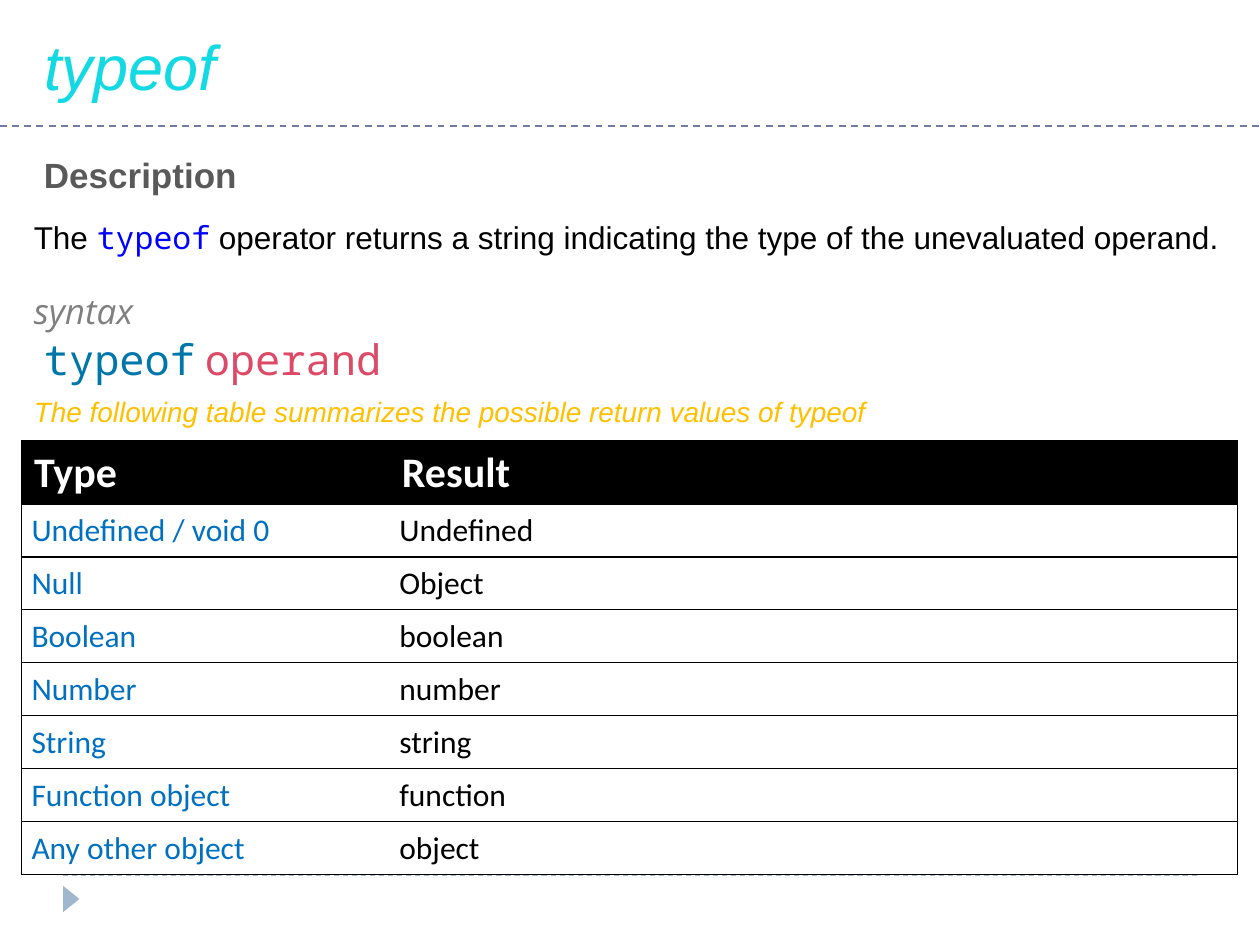
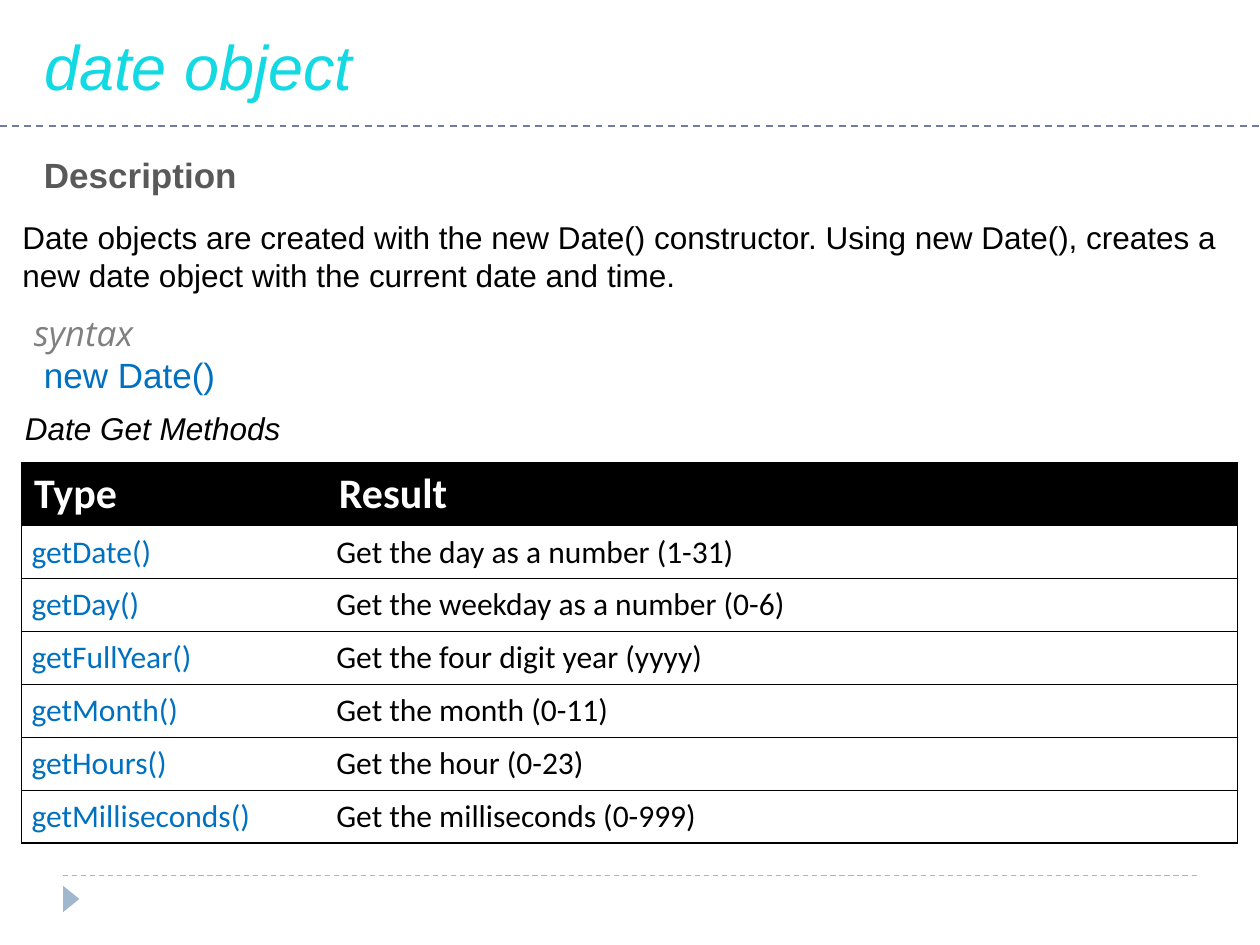
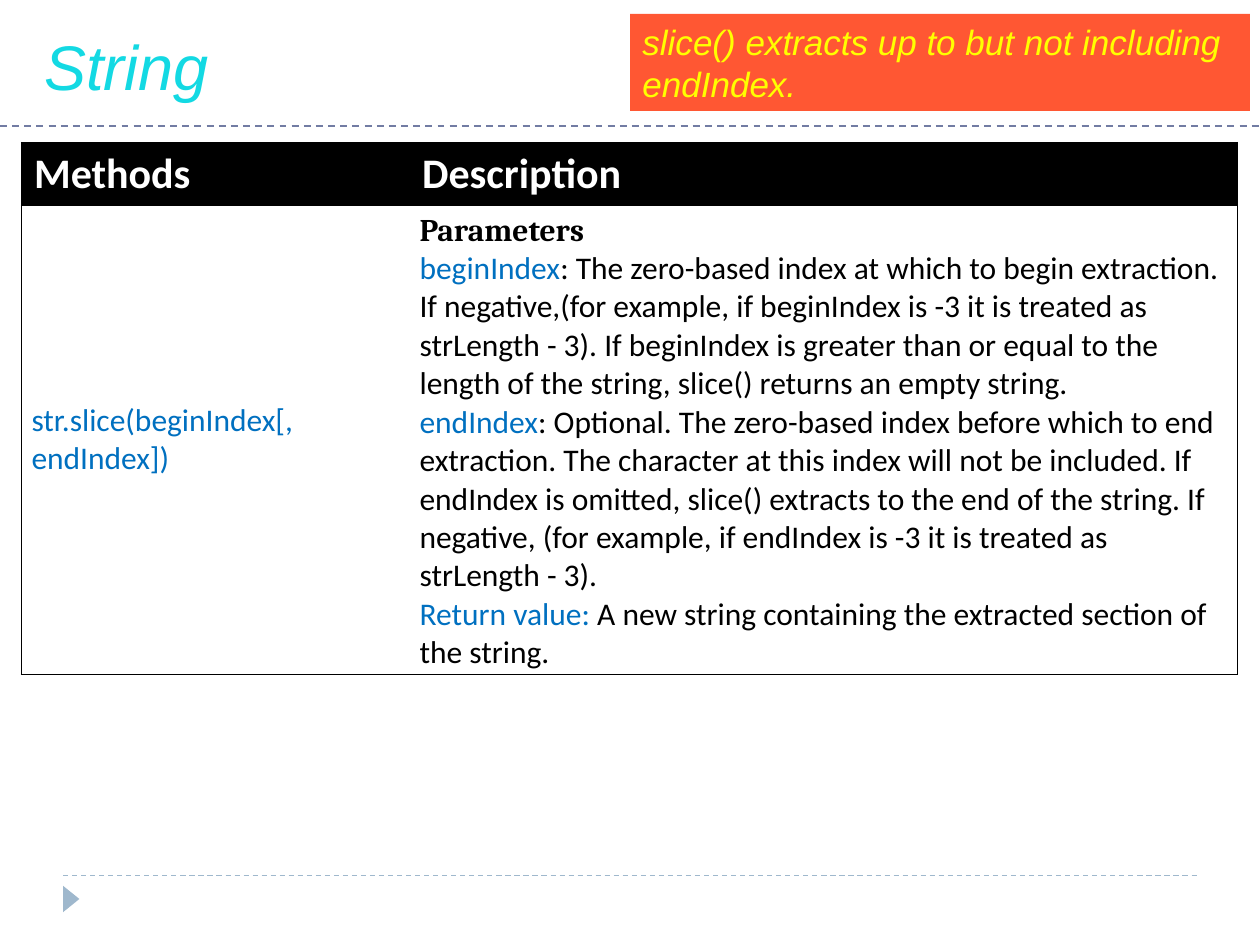
from dataclasses import dataclass

from lxml import etree
from pptx import Presentation
from pptx.dml.color import RGBColor
from pptx.enum.dml import MSO_LINE
from pptx.enum.shapes import MSO_CONNECTOR, MSO_SHAPE
from pptx.enum.text import MSO_ANCHOR, MSO_AUTO_SIZE, PP_ALIGN
from pptx.oxml.ns import qn
from pptx.util import Inches, Pt

STRAIGHT, TRIANGLE, RECTANGLE = MSO_CONNECTOR.STRAIGHT, MSO_SHAPE.ISOSCELES_TRIANGLE, MSO_SHAPE.RECTANGLE
DASH, LEFT = MSO_LINE.DASH, PP_ALIGN.LEFT
TOP, MIDDLE = MSO_ANCHOR.TOP, MSO_ANCHOR.MIDDLE
GROW = MSO_AUTO_SIZE.SHAPE_TO_FIT_TEXT
TITLE_ONLY = 5

COLORS = {
    "title": "13D9E3", "rule": "727CA3", "footer": "9FB8CD", "heading": "595959",
    "black": "000000", "white": "FFFFFF", "blue": "0070C0", "code": "0000FF",
    "keyword": "0077AA", "operand": "DD4A68", "syntax": "808080", "gold": "FFC000",
    "callout": "FF5733", "yellow": "FFFF00",
}

# Character formats: color key and font attributes
FORMATS = {
    "title": ("title", dict(name="Arial", size=Pt(36), bold=False, italic=True)),
    "heading": ("heading", dict(name="Arial", size=Pt(20), bold=True)),
    "body": ("black", dict(name="Arial", size=Pt(18))),
    "body italic": ("black", dict(name="Arial", size=Pt(18), italic=True)),
    "inline code": ("code", dict(name="Noto Sans Mono", size=Pt(18))),
    "syntax": ("syntax", dict(name="Open Sans", size=Pt(20), italic=True)),
    "keyword": ("keyword", dict(name="Noto Sans Mono", size=Pt(24))),
    "operand": ("operand", dict(name="Noto Sans Mono", size=Pt(24))),
    "constructor": ("blue", dict(name="Arial", size=Pt(20))),
    "summary": ("gold", dict(name="Arial", size=Pt(16), italic=True)),
    "callout": ("yellow", dict(name="Arial", size=Pt(20), italic=True)),
    "column head": ("white", dict(name="Calibri", size=Pt(24), bold=True)),
    "term": ("blue", dict(name="Calibri", size=Pt(18), bold=False)),
    "cell": ("black", dict(name="Calibri", size=Pt(18), bold=False)),
    "parameters": ("black", dict(name="Cambria", size=Pt(18), bold=True)),
}


@dataclass(frozen=True)
class Run:
    text: str
    style: str


@dataclass(frozen=True)
class Passage:
    left: float
    top: float
    width: float
    height: float
    runs: tuple[Run, ...]


@dataclass(frozen=True)
class Grid:
    top: float
    first_column: float
    heads: tuple[str, str]
    rows: list[tuple[str, list[list[Run]]]]
    row_height: float = 0.42


@dataclass(frozen=True)
class Topic:
    title: str
    passages: list[Passage]
    grid: Grid


GRID_LEFT, GRID_WIDTH, HEAD_HEIGHT = 0.17, 9.65, 0.5


def rgb(key: str) -> RGBColor:
    return RGBColor.from_string(COLORS[key])


def write_runs(paragraph, runs) -> None:
    paragraph.alignment = LEFT
    for part in runs:
        run = paragraph.add_run()
        run.text = part.text
        color, values = FORMATS[part.style]
        for attribute, value in values.items():
            setattr(run.font, attribute, value)
        run.font.color.rgb = rgb(color)


def fill_frame(frame, runs) -> None:
    for attribute, value in dict(word_wrap=True, auto_size=GROW, vertical_anchor=TOP).items():
        setattr(frame, attribute, value)
    write_runs(frame.paragraphs[0], runs)


def add_rule(slide, left: float, right: float, y: float, color: str, weight: float) -> None:
    rule = slide.shapes.add_connector(STRAIGHT, Inches(left), Inches(y), Inches(right), Inches(y))
    rule.line.color.rgb = rgb(color)
    rule.line.width = Pt(weight)
    rule.line.dash_style = DASH
    etree.SubElement(rule._element.spPr, qn("a:effectLst"))


def add_block(slide, kind, left: float, top: float, width: float, height: float, color: str):
    block = slide.shapes.add_shape(kind, Inches(left), Inches(top), Inches(width), Inches(height))
    block.shadow.inherit = False
    block.fill.solid()
    block.fill.fore_color.rgb = rgb(color)
    block.line.fill.background()
    return block


def add_passage(slide, passage: Passage) -> None:
    box = slide.shapes.add_textbox(Inches(passage.left), Inches(passage.top),
                                   Inches(passage.width), Inches(passage.height))
    fill_frame(box.text_frame, passage.runs)


def set_borders(cell, outer_side: str) -> None:
    """Rule the cell above, below and on its outer side only."""
    properties = cell._tc.get_or_add_tcPr()
    for side in ("lnL", "lnR", "lnT", "lnB"):
        border = etree.SubElement(properties, qn(f"a:{side}"), w=str(Pt(0.75)))
        if side in ("lnT", "lnB", outer_side):
            solid = etree.SubElement(border, qn("a:solidFill"))
            etree.SubElement(solid, qn("a:srgbClr"), val=COLORS["black"])
        else:
            etree.SubElement(border, qn("a:noFill"))


def fill_cell(cell, paragraphs, column: int, is_head: bool) -> None:
    set_borders(cell, ("lnL", "lnR")[column])
    if is_head:
        cell.fill.solid()
        cell.fill.fore_color.rgb = rgb("black")
    else:
        cell.fill.background()
        cell.vertical_anchor = MIDDLE
        for side, inset in dict(left=0.08, right=0.08, top=0.06, bottom=0.06).items():
            setattr(cell, f"margin_{side}", Inches(inset))
    for index, runs in enumerate(paragraphs):
        frame = cell.text_frame
        write_runs(frame.add_paragraph() if index else frame.paragraphs[0], runs)


def add_grid(slide, grid: Grid) -> None:
    height = HEAD_HEIGHT + grid.row_height * len(grid.rows)
    table = slide.shapes.add_table(len(grid.rows) + 1, 2, Inches(GRID_LEFT), Inches(grid.top),
                                   Inches(GRID_WIDTH), Inches(height)).table
    table.horz_banding = False
    table.columns[0].width = Inches(grid.first_column)
    table.columns[1].width = Inches(GRID_WIDTH - grid.first_column)
    contents = [[[[Run(head, "column head")]] for head in grid.heads]]
    contents += [[[[Run(term, "term")]], meaning] for term, meaning in grid.rows]
    for row, cells in enumerate(contents):
        table.rows[row].height = Inches(grid.row_height if row else HEAD_HEIGHT)
        for column, paragraphs in enumerate(cells):
            fill_cell(table.cell(row, column), paragraphs, column, row == 0)


def add_topic(deck, topic: Topic):
    slide = deck.slides.add_slide(deck.slide_layouts[TITLE_ONLY])
    # Footer rule and marker
    add_rule(slide, 0.5, 9.5, 6.95, "footer", 0.75)
    add_block(slide, TRIANGLE, 0.46, 7.07, 0.21, 0.13, "footer").rotation = 90
    # Title and the rule below it
    title = slide.shapes.title
    for attribute, value in dict(left=0.25, top=0.17, width=9.42, height=0.71).items():
        setattr(title, attribute, Inches(value))
    fill_frame(title.text_frame, [Run(topic.title, "title")])
    add_rule(slide, 0, 10, 1, "rule", 1)
    # Content
    for passage in topic.passages:
        add_passage(slide, passage)
    add_grid(slide, topic.grid)
    return slide


def syntax_label(top: float) -> Passage:
    return Passage(0.17, top, 9.67, 0.44, (Run("syntax", "syntax"),))


def plain_rows(pairs: dict[str, str]) -> list[tuple[str, list[list[Run]]]]:
    return [(term, [[Run(meaning, "cell")]]) for term, meaning in pairs.items()]


DESCRIPTION = Passage(0.25, 1.17, 9.42, 0.44, (Run("Description", "heading"),))

TYPEOF = Topic("typeof", [
    DESCRIPTION,
    Passage(0.17, 1.68, 9.67, 0.4, (
        Run("The ", "body"), Run("typeof", "inline code"),
        Run(" operator returns a string indicating the type of the unevaluated operand.", "body"))),
    Passage(0.25, 2.6, 9.5, 0.5, (
        Run("typeof", "keyword"), Run(" ", "constructor"), Run("operand", "operand"))),
    Passage(0.17, 3.08, 9.58, 0.37, (
        Run("The following table summarizes the possible return values of typeof", "summary"),)),
    syntax_label(2.25),
], Grid(3.5, 2.92, ("Type", "Result"), plain_rows({
    "Undefined / void 0": "Undefined",
    "Null": "Object",
    "Boolean": "boolean",
    "Number": "number",
    "String": "string",
    "Function object": "function",
    "Any other object": "object",
})))

DATE = Topic("date object", [
    DESCRIPTION,
    Passage(0.08, 1.68, 9.92, 0.71, (
        Run("Date objects are created with the new Date() constructor. Using new Date(), "
            "creates a new date object with the current date and time.", "body"),)),
    Passage(0.25, 2.76, 9.5, 0.44, (Run("new Date()", "constructor"),)),
    syntax_label(2.42),
    Passage(0.1, 3.2, 9.73, 0.4, (Run("Date Get Methods", "body italic"),)),
], Grid(3.67, 2.42, ("Type", "Result"), plain_rows({
    "getDate()": "Get the day as a number (1-31)",
    "getDay()": "Get the weekday as a number (0-6)",
    "getFullYear()": "Get the four digit year (yyyy)",
    "getMonth()": "Get the month (0-11)",
    "getHours()": "Get the hour (0-23)",
    "getMilliseconds()": "Get the milliseconds (0-999)",
})))

SLICE_DETAILS = [
    [Run("Parameters", "parameters")],
    [Run("beginIndex", "term"),
     Run(": The zero-based index at which to begin extraction. If negative,(for example, "
         "if beginIndex is -3 it is treated as strLength - 3). If beginIndex is greater than "
         "or equal to the length of the string, slice() returns an empty string.", "cell")],
    [Run("endIndex", "term"),
     Run(": Optional. The zero-based index before which to end extraction. The character at "
         "this index will not be included. If endIndex is omitted, slice() extracts to the end "
         "of the string. If negative, (for example, if endIndex is -3 it is treated as "
         "strLength - 3).", "cell")],
    [Run("Return value: ", "term"),
     Run("A new string containing the extracted section of the string.", "cell")],
]

STRING = Topic("String", [], Grid(
    1.13, 3.08, ("Methods", "Description"),
    [("str.slice(beginIndex[, endIndex])", SLICE_DETAILS)], row_height=3.71))


def main() -> None:
    deck = Presentation()
    deck.slide_width, deck.slide_height = Inches(10), Inches(7.5)
    add_topic(deck, TYPEOF)
    add_topic(deck, DATE)
    string_slide = add_topic(deck, STRING)
    # Reminder beside the String title
    reminder = add_block(string_slide, RECTANGLE, 5, 0.11, 4.92, 0.77, "callout")
    fill_frame(reminder.text_frame,
               [Run("slice() extracts up to but not including endIndex.", "callout")])
    deck.save("out.pptx")


if __name__ == "__main__":
    main()
